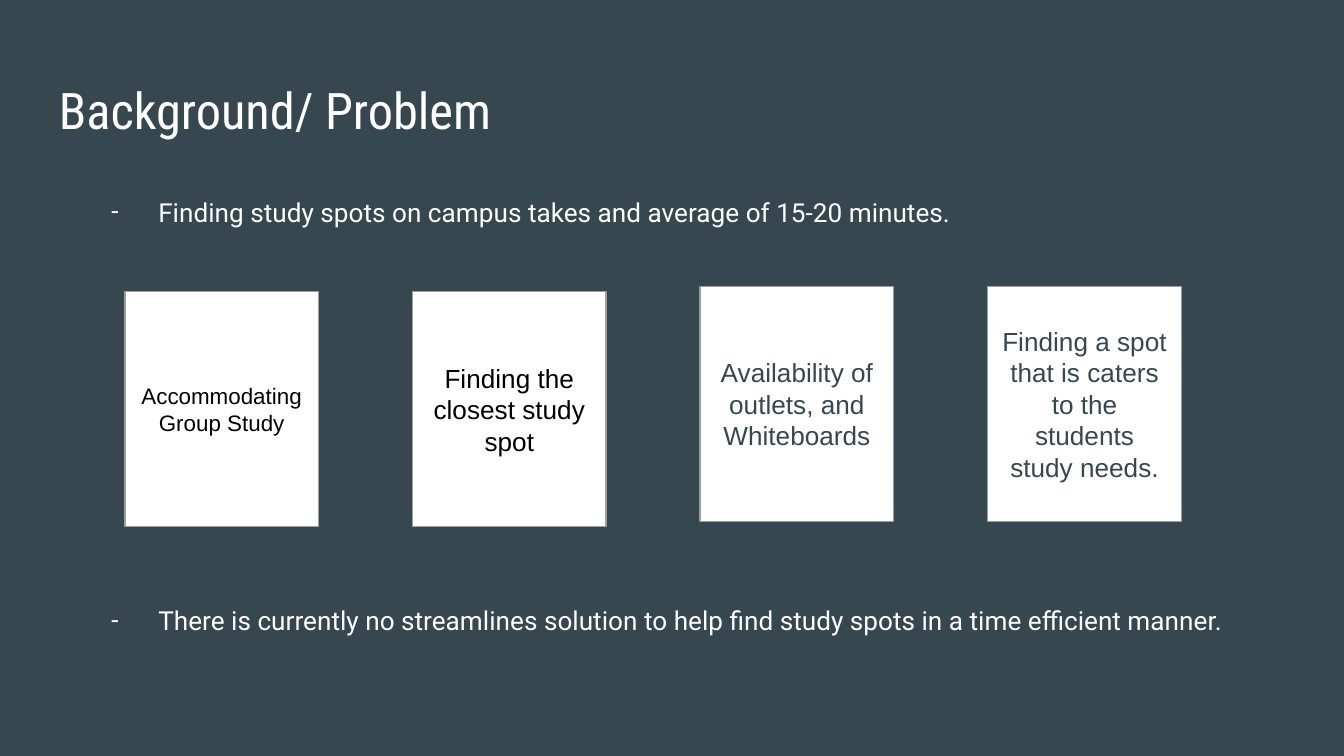
from pptx import Presentation
from pptx.dml.color import RGBColor
from pptx.enum.shapes import MSO_SHAPE
from pptx.enum.text import MSO_ANCHOR, PP_ALIGN
from pptx.oxml import parse_xml
from pptx.oxml.ns import nsdecls
from pptx.util import Inches, Pt

COLORS = {"slate": "37474F", "white": "FFFFFF", "black": "000000", "edge": "9E9E9E"}


def rgb(name):
    return RGBColor.from_string(COLORS[name])


def add_dash(p, font, color):
    """Give a paragraph a hanging dash bullet."""
    ns = nsdecls("a")
    pPr = p._p.get_or_add_pPr()
    pPr.set("marL", str(Inches(0.5)))
    pPr.set("indent", str(Inches(-0.35)))
    for xml in (f'<a:buClr {ns}><a:srgbClr val="{COLORS[color]}"/></a:buClr>',
                f'<a:buFont {ns} typeface="{font}"/>',
                f'<a:buChar {ns} char="-"/>'):
        pPr.append(parse_xml(xml))


def write(sp, text, size=14, font="Roboto", color="white",
          align=PP_ALIGN.LEFT, anchor=MSO_ANCHOR.TOP, dash=False):
    """Fill a shape with text, one paragraph per line."""
    tf = sp.text_frame
    tf.word_wrap = True
    tf.vertical_anchor = anchor
    tf.margin_left = tf.margin_right = tf.margin_top = tf.margin_bottom = Inches(0.1)
    for i, line in enumerate(text.split("\n")):
        p = tf.add_paragraph() if i else tf.paragraphs[0]
        p.alignment = align
        if dash:
            add_dash(p, font, color)
        r = p.add_run()
        r.text = line
        r.font.size = Pt(size)
        r.font.name = font
        r.font.color.rgb = rgb(color)


def add_text(s, box, text, **fmt):
    write(s.shapes.add_textbox(*map(Inches, box)), text, **fmt)


def add_card(s, box, text, **fmt):
    sp = s.shapes.add_shape(MSO_SHAPE.RECTANGLE, *map(Inches, box))
    sp.shadow.inherit = False
    sp.fill.solid()
    sp.fill.fore_color.rgb = rgb("white")
    sp.line.color.rgb = rgb("edge")
    sp.line.width = Pt(0.75)
    write(sp, text, font="Arial", align=PP_ALIGN.CENTER, anchor=MSO_ANCHOR.MIDDLE, **fmt)


def add_cards(s, box, cards, card_width=1.44, card_height=1.75):
    """Spread the cards evenly over the box; drop lowers a card from its top."""
    left, top, width, _ = box
    step = (width - card_width) / (len(cards) - 1)
    for i, (text, size, color, drop) in enumerate(cards):
        add_card(s, (left + i * step, top + drop, card_width, card_height),
                 text, size=size, color=color)


def build_slide(prs):
    s = prs.slides.add_slide(prs.slide_layouts[6])
    s.background.fill.solid()
    s.background.fill.fore_color.rgb = rgb("slate")

    # Title
    add_text(s, (0.34, 0.49, 9.32, 0.63), "Background/ Problem",
             size=27, font="Roboto Condensed")

    # Study needs: text, size, colour, drop
    add_cards(s, (0.93, 2.13, 7.86, 1.79), [
        ("Accommodating\nGroup Study", 12, "black", 0.04),
        ("Finding the closest study spot", 14, "black", 0.04),
        ("Availability of outlets, and Whiteboards", 14, "slate", 0),
        ("Finding a spot that is caters to the students study needs.", 14, "slate", 0),
    ])

    # Statements above and below the cards
    add_text(s, (0.58, 1.36, 8.57, 0.44),
             "Finding study spots on campus takes and average of 15-20 minutes.", dash=True)
    add_text(s, (0.58, 4.4, 8.84, 0.44),
             "There is currently no streamlines solution to help find study spots "
             "in a time efficient manner.", dash=True)


def main():
    prs = Presentation()
    prs.slide_width = Inches(10)
    prs.slide_height = Inches(10 * 9 / 16)
    build_slide(prs)
    prs.save("out.pptx")


if __name__ == "__main__":
    main()
